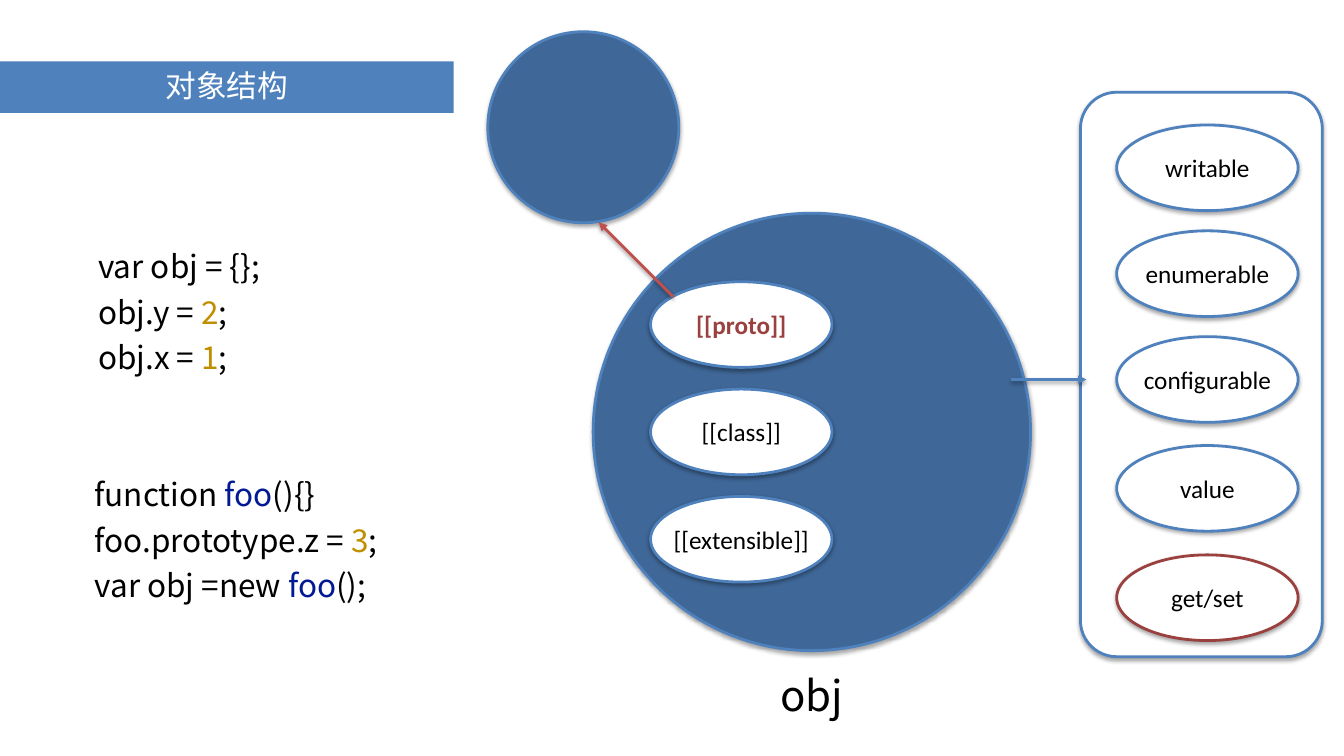
"""Build the slide on the structure of a JavaScript object."""
from lxml import etree
from pptx import Presentation
from pptx.dml.color import RGBColor
from pptx.enum.shapes import MSO_CONNECTOR, MSO_SHAPE
from pptx.enum.text import MSO_ANCHOR, MSO_AUTO_SIZE, PP_ALIGN
from pptx.oxml.ns import qn
from pptx.util import Inches, Pt

OVAL, ROUNDED = MSO_SHAPE.OVAL, MSO_SHAPE.ROUNDED_RECTANGLE
STRAIGHT = MSO_CONNECTOR.STRAIGHT
MIDDLE, TOP = MSO_ANCHOR.MIDDLE, MSO_ANCHOR.TOP
CENTER, LEFT = PP_ALIGN.CENTER, PP_ALIGN.LEFT
NO_FIT = MSO_AUTO_SIZE.NONE

COLORS = {"blue": "4F81BD", "navy": "3F6797", "white": "FFFFFF", "black": "000000",
          "red": "C0504D", "maroon": "9A403E", "name": "021994", "number": "BF8F00"}
SANS, LATIN = "Noto Sans CJK SC", "Calibri"

prs = Presentation()
prs.slide_width, prs.slide_height = Inches(26.67), Inches(15)
CELL = prs.slide_height / 45
s = prs.slides.add_slide(prs.slide_layouts[5])


def write(tf, lines, size, font, align, anchor, spacing, inset=0, wrap=False, bold=False):
    tf.auto_size, tf.word_wrap, tf.vertical_anchor = NO_FIT, wrap, anchor
    tf.margin_left = tf.margin_right = tf.margin_top = tf.margin_bottom = Inches(inset)
    for i, line in enumerate(lines):
        p = tf.add_paragraph() if i else tf.paragraphs[0]
        p.alignment, p.line_spacing = align, spacing
        for text, color in line:
            r = p.add_run()
            r.text = text
            r.font.name, r.font.size, r.font.bold = font, Pt(size), bold
            r.font.color.rgb = RGBColor.from_string(COLORS[color])
            etree.SubElement(r.font._element, qn("a:ea"), typeface=font)


def outline(sp, color, opacity):
    sp.line.color.rgb = RGBColor.from_string(COLORS[color])
    sp.line.width = Pt(4)
    effects = etree.SubElement(sp._element.spPr, qn("a:effectLst"))
    shadow = etree.SubElement(effects, qn("a:outerShdw"), blurRad=str(Pt(6)),
                              dist=str(Pt(3)), dir="5400000", rotWithShape="0")
    black = etree.SubElement(shadow, qn("a:srgbClr"), val=COLORS["black"])
    etree.SubElement(black, qn("a:alpha"), val=str(opacity * 1000))


title = s.shapes.title
title.left, title.top, title.width, title.height = [
    round(v * CELL) for v in (0, 3.66, 27, 3.06)]
title.fill.solid()
title.fill.fore_color.rgb = RGBColor.from_string(COLORS["blue"])
write(title.text_frame, [[("对象结构", "white")]], 43.8, SANS, CENTER, MIDDLE, 0.9)

shapes = [
    (OVAL, 35.31, 12.69, 26.04, 26.04, "navy", "blue", "", "black"),
    (OVAL, 29.04, 1.89, 11.37, 11.37, "navy", "blue", "", "black"),
    (ROUNDED, 64.32, 5.49, 14.4, 33.6, "white", "blue", "", "black"),
]
slots = [("[[proto]]", "maroon"), ("[[class]]", "black"), ("[[extensible]]", "black")]
for row, (label, color) in enumerate(slots):
    shapes.append((OVAL, 38.73, 16.77 + 6.39 * row, 10.8, 5.1, "white", "blue", label, color))
attributes = [("writable", 7.44, "blue"), ("enumerable", 13.74, "blue"),
              ("configurable", 20.04, "blue"), ("value", 26.52, "blue"),
              ("get/set", 33.03, "maroon")]
for label, top, line in attributes:
    shapes.append((OVAL, 66.48, top, 10.8, 5.1, "white", line, label, "black"))

for kind, x, y, w, h, fill, line, label, color in shapes:
    sp = s.shapes.add_shape(kind, *[round(v * CELL) for v in (x, y, w, h)])
    if kind == ROUNDED:
        sp.adjustments[0] = 0.15
    sp.fill.solid()
    sp.fill.fore_color.rgb = RGBColor.from_string(COLORS[fill])
    outline(sp, line, 35)
    if label:
        write(sp.text_frame, [[(label, color)]], 36, LATIN, CENTER, MIDDLE, 1,
              bold=color == "maroon")

arrows = [(40.08, 17.67, 35.64, 13.23, "red"), (60.18, 22.59, 64.68, 22.59, "blue")]
for *ends, color in arrows:
    arrow = s.shapes.add_connector(STRAIGHT, *[round(v * CELL) for v in ends])
    outline(arrow, color, 38)
    etree.SubElement(arrow._element.spPr.find(qn("a:ln")), qn("a:tailEnd"), type="triangle")

literal_code = [
    [("var obj = {};", "black")],
    [("obj.y = ", "black"), ("2", "number"), (";", "black")],
    [("obj.x = ", "black"), ("1", "number"), (";", "black")],
]
constructor_code = [
    [("function ", "black"), ("foo", "name"), ("(){}", "black")],
    [("foo.prototype.z = ", "black"), ("3", "number"), (";", "black")],
    [("var obj =new ", "black"), ("foo", "name"), ("();", "black")],
]
texts = [
    ((46.08, 39.9, 4.5, 3.9), [[("obj", "black")]], 60, CENTER, 0.9, False),
    ((5.34, 27.54, 19.02, 9.09), constructor_code, 45, LEFT, 1.2, True),
    ((5.55, 13.98, 11.55, 9.09), literal_code, 45, LEFT, 1.2, True),
]
for box, lines, size, align, spacing, wrap in texts:
    sp = s.shapes.add_textbox(*[round(v * CELL) for v in box])
    write(sp.text_frame, lines, size, SANS, align, TOP, spacing, 0.1, wrap)

prs.save("out.pptx")
